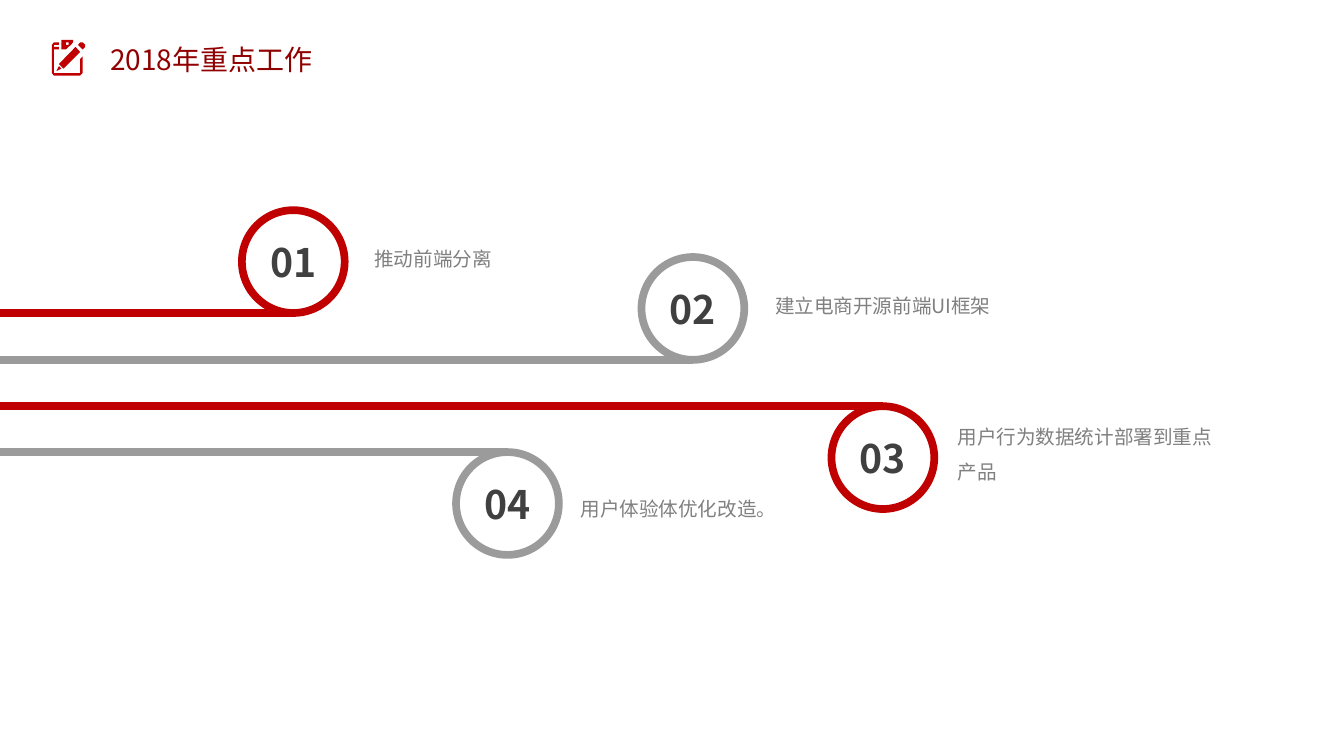
from dataclasses import dataclass

from pptx import Presentation
from pptx import util as u
from pptx.dml.color import RGBColor
from pptx.enum import shapes, text
from pptx.oxml.ns import qn
from lxml import etree

PX = 9144  # 100 px to the inch


@dataclass
class Theme:
    font: str = "Noto Sans CJK SC"
    white: str = "FFFFFF"
    red: str = "C00000"
    dark: str = "900000"
    gray: str = "9B9B9B"
    ink: str = "404040"
    soft: str = "808080"
    title: int = 40
    num: int = 56
    body: int = 28
    rule: int = 11


def color(code):
    return RGBColor.from_string(code)


class Deck:
    def __init__(self, theme, wide, high):
        self.theme = theme
        self.prs = Presentation()
        self.prs.slide_width, self.prs.slide_height = wide * PX, high * PX
        self.slide = self.prs.slides.add_slide(self.prs.slide_layouts[5])

    def put(self, frame, words, size, tint, bold=False, lead=None,
            align=text.PP_ALIGN.LEFT, anchor=text.MSO_ANCHOR.TOP, inset=(0, 0)):
        frame.word_wrap = True
        frame.auto_size = text.MSO_AUTO_SIZE.NONE
        frame.vertical_anchor = anchor
        frame.margin_left = frame.margin_right = inset[0] * PX
        frame.margin_top = frame.margin_bottom = inset[1] * PX
        para = frame.paragraphs[0]
        para.alignment = align
        if lead:
            para.line_spacing = u.Pt(lead)
        run = para.add_run()
        run.text = words
        font = run.font
        font.name, font.size, font.bold = self.theme.font, u.Pt(size), bold
        font.color.rgb = color(tint)
        east = etree.SubElement(font._element, qn("a:ea"))
        east.set("typeface", self.theme.font)

    def title(self, words, x, y, w, h):
        box = self.slide.shapes.title
        box.left, box.top, box.width, box.height = (n * PX for n in (x, y, w, h))
        self.put(box.text_frame, words, self.theme.title, self.theme.dark,
                 lead=49, inset=(20, 10))

    def label(self, words, x, y, w, h):
        box = self.slide.shapes.add_textbox(*(n * PX for n in (x, y, w, h)))
        self.put(box.text_frame, words, self.theme.body, self.theme.soft, lead=50)

    def ring(self, words, x, y, size, tint):
        dot = self.slide.shapes.add_shape(
            shapes.MSO_SHAPE.OVAL, *(n * PX for n in (x, y, size, size)))
        dot.shadow.inherit = False
        dot.fill.solid()
        dot.fill.fore_color.rgb = color(self.theme.white)
        dot.line.color.rgb = color(tint)
        dot.line.width = u.Pt(self.theme.rule)
        self.put(dot.text_frame, words, self.theme.num, self.theme.ink, bold=True,
                 align=text.PP_ALIGN.CENTER, anchor=text.MSO_ANCHOR.MIDDLE)

    def rail(self, x, y, tint):
        line = self.slide.shapes.add_connector(
            shapes.MSO_CONNECTOR.STRAIGHT, x * PX, y * PX, 0, y * PX)
        line.line.color.rgb = color(tint)
        line.line.width = u.Pt(self.theme.rule)
        etree.SubElement(line._element.spPr, qn("a:effectLst"))

    def icon(self, parts, tint):
        pen = self.slide.shapes.build_freeform(*parts[0][0], scale=PX)
        for num, part in enumerate(parts):
            if num:
                pen.move_to(*part[0])
            pen.add_line_segments(part[1:], close=True)
        form = pen.convert_to_shape()
        form.shadow.inherit = False
        form.fill.solid()
        form.fill.fore_color.rgb = color(tint)
        form.line.fill.background()


# Note icon: page, tab, tab hole, pencil end, pencil body, pencil tip
ICON = [
    [(159, 150), (107, 150), (103, 145), (103, 89), (107, 84), (117, 84),
     (117, 89), (107, 89), (107, 93), (117, 93), (117, 98), (107, 98),
     (107, 145), (159, 145), (159, 117), (164, 112), (164, 145)],
    [(136, 93), (131, 98), (122, 98), (122, 79), (145, 79), (145, 84), (141, 89)],
    [(136, 86), (136, 84), (131, 84), (131, 89), (136, 89)],
    [(164, 98), (155, 89), (159, 84), (164, 84), (169, 89), (169, 93)],
    [(126, 136), (117, 127), (150, 93), (159, 103)],
    [(122, 136), (112, 141), (117, 131)],
]

RING = 204

# Number, ring corner, rail below the ring, label, label box
TASKS = [
    ("01", 480, 417, True, "推动前端分离", (743, 467, 507, 123)),
    ("02", 1273, 510, True, "建立电商开源前端UI框架", (1538, 561, 526, 197)),
    ("03", 1650, 806, False, "用户行为数据统计部署到重点产品", (1900, 821, 511, 181)),
    ("04", 905, 897, False, "用户体验体优化改造。", (1152, 963, 504, 123)),
]


def main():
    theme = Theme()
    deck = Deck(theme, 2667, 1500)

    # Heading
    deck.icon(ICON, theme.red)
    deck.title("2018年重点工作", 199, 73, 445, 88)

    # Tasks, in red and gray by turns
    for num, (mark, x, y, low, words, box) in enumerate(TASKS):
        tint = theme.gray if num % 2 else theme.red
        deck.ring(mark, x, y, RING, tint)
        deck.rail(x + RING // 2, y + RING * low, tint)
        deck.label(words, *box)

    deck.prs.save("out.pptx")


if __name__ == "__main__":
    main()
